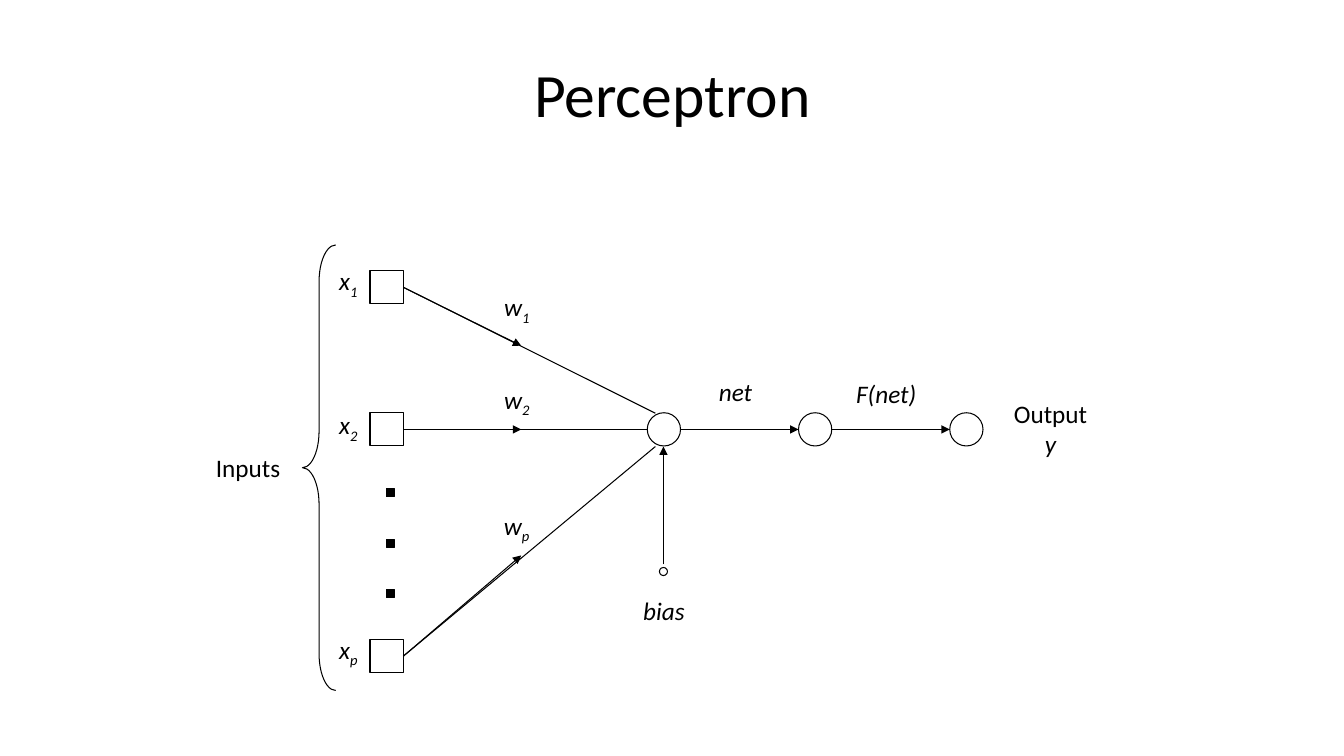
from lxml import etree
from pptx import Presentation
from pptx.dml.color import RGBColor
from pptx.enum.shapes import MSO_CONNECTOR, MSO_SHAPE
from pptx.enum.text import MSO_ANCHOR, PP_ALIGN
from pptx.oxml.ns import qn
from pptx.util import Inches, Pt

COLORS = {"ink": "000000"}
INK = RGBColor.from_string(COLORS["ink"])
NODE = 0.33
DOT = 0.08
AXIS = 4.26
SQUARE_RIGHT = 4
ARROW_TIP = 5.17

presentation = Presentation()
presentation.slide_width = Inches(13.33)
presentation.slide_height = Inches(7.5)
slide = presentation.slides.add_slide(presentation.slide_layouts[6])


def add_outline(kind, left, top, width, height, solid=False):
    shape = slide.shapes.add_shape(
        kind, Inches(left), Inches(top), Inches(width), Inches(height))
    shape.shadow.inherit = False
    if solid:
        shape.fill.solid()
        shape.fill.fore_color.rgb = INK
    else:
        shape.fill.background()
    shape.line.color.rgb = INK
    shape.line.width = Pt(0.75)
    return shape


def add_line(start, end, arrow=False, source=None):
    connector = slide.shapes.add_connector(
        MSO_CONNECTOR.STRAIGHT, *[Inches(value) for value in (*start, *end)])
    if source is not None:
        connector.begin_connect(source, 3)
    connector.line.color.rgb = INK
    connector.line.width = Pt(0.75)
    if arrow:
        line = connector.line._get_or_add_ln()
        etree.SubElement(line, qn("a:tailEnd"), type="triangle")
    etree.SubElement(connector._element.spPr, qn("a:effectLst"))


brace = add_outline(MSO_SHAPE.LEFT_BRACE, 3, 2.43, NODE, 4.42)
brace.adjustments[0] = 1.104
brace.adjustments[1] = 0.5

inputs = [
    (2.85, (6.5, 4.1), 3.43),
    (AXIS, (6.42, AXIS), AXIS),
    (6.51, (6.5, 4.43), 5.51),
]
for center, neuron_point, tip in inputs:
    square = add_outline(MSO_SHAPE.RECTANGLE, SQUARE_RIGHT - NODE,
                         center - NODE / 2, NODE, NODE)
    add_line((SQUARE_RIGHT, center), neuron_point, source=square)
    add_line((SQUARE_RIGHT, center), (ARROW_TIP, tip), arrow=True, source=square)

for index in range(3):
    add_outline(MSO_SHAPE.RECTANGLE, 3.83, 4.85 + 0.5 * index, DOT, DOT, solid=True)

for index in range(3):
    left = 6.42 + 1.5 * index
    add_outline(MSO_SHAPE.OVAL, left, AXIS - NODE / 2, NODE, NODE)
    if index < 2:
        add_line((left + NODE, AXIS), (left + 1.5, AXIS), arrow=True)

add_outline(MSO_SHAPE.OVAL, 6.54, 5.63, DOT, DOT)
add_line((6.58, 5.6), (6.58, 4.43), arrow=True)

title_format = {"size": Pt(44)}
plain = {"size": Pt(18)}
italic = {"size": Pt(18), "italic": True}
subscript = {**italic, "baseline": "-25000"}

labels = [
    (0.67, 0.3, 12, 1.25, [("Perceptron", title_format)]),
    (1.92, 4.43, 1.08, 0.41, [("Inputs", plain)]),
    (5.92, 5.85, 1.33, 0.41, [("bias", italic)]),
    (6.92, 3.68, 0.75, 0.41, [("net", italic)]),
    (8.33, 3.7, 0.92, 0.41, [("F(net)", italic)]),
    (9.92, 3.9, 1, 0.7, [("Output ", plain), ("y", italic)]),
]
for index, input_top, weight_top in [("1", 2.6, 2.86), ("2", 4.03, 3.78), ("p", 6.26, 5.03)]:
    for letter, left, top in [("x", 3.08, input_top), ("w", 4.75, weight_top)]:
        labels.append((left, top, 0.75, 0.41, [(letter, italic), (index, subscript)]))

for left, top, width, height, pieces in labels:
    label = slide.shapes.add_textbox(
        Inches(left), Inches(top), Inches(width), Inches(height))
    frame = label.text_frame
    frame.word_wrap = True
    frame.vertical_anchor = MSO_ANCHOR.MIDDLE
    paragraph = frame.paragraphs[0]
    paragraph.alignment = PP_ALIGN.CENTER
    for text, formats in pieces:
        run = paragraph.add_run()
        run.text = text
        run.font.name = "Calibri"
        run.font.color.rgb = INK
        for name, value in formats.items():
            if name == "baseline":
                run.font._element.set(name, value)
            else:
                setattr(run.font, name, value)

presentation.save("out.pptx")
